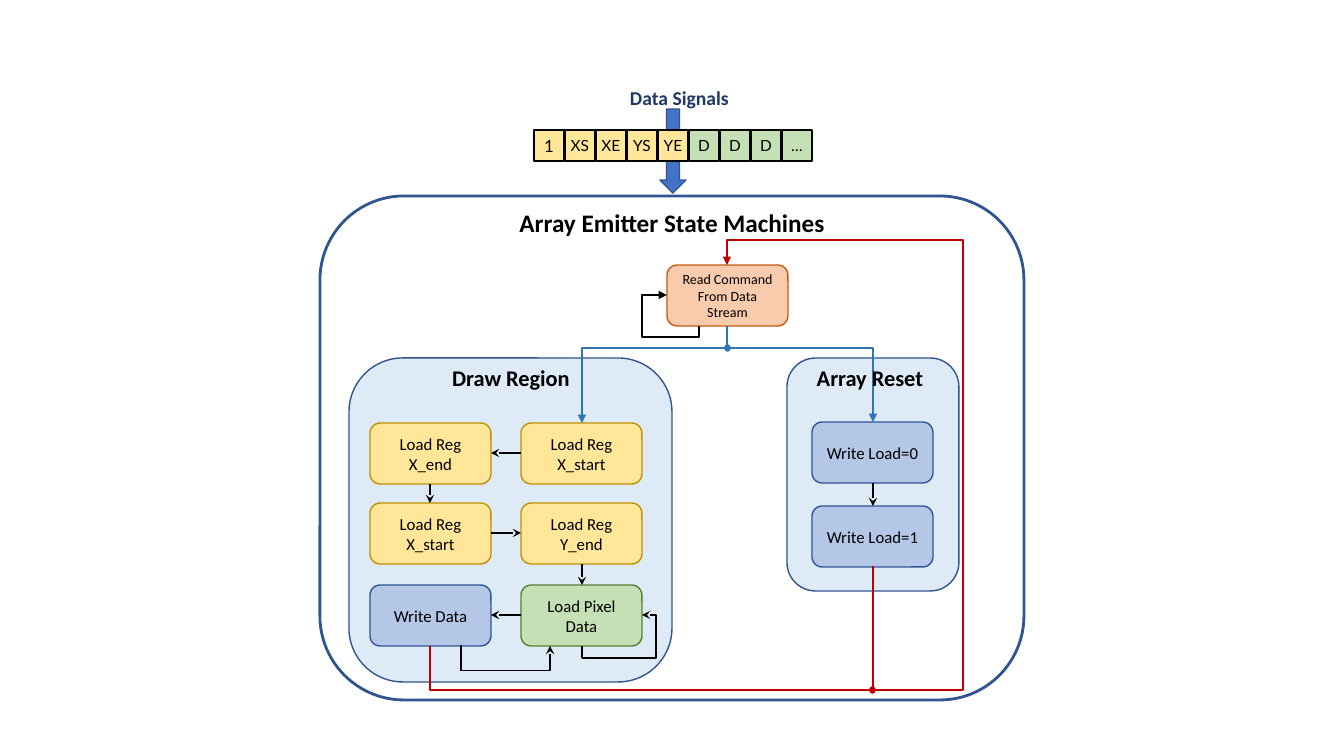
from lxml.etree import SubElement
from pptx import Presentation
from pptx.dml.color import RGBColor
from pptx.enum.shapes import MSO_CONNECTOR, MSO_SHAPE
from pptx.enum.text import MSO_ANCHOR, PP_ALIGN
from pptx.oxml.ns import qn
from pptx.util import Emu, Pt

EMU_PER_PX = 914400 / 100.8
BLACK = RGBColor(0x00, 0x00, 0x00)
WHITE = RGBColor(0xFF, 0xFF, 0xFF)
NAVY = RGBColor(0x20, 0x38, 0x64)
FRAME_BLUE = RGBColor(0x32, 0x54, 0x91)
ARROW_BLUE = RGBColor(0x44, 0x72, 0xC4)
REGION_BLUE = RGBColor(0xDE, 0xEB, 0xF7)
WRITE_BLUE = RGBColor(0xB4, 0xC7, 0xE7)
WRITE_EDGE = RGBColor(0x2F, 0x55, 0x97)
YELLOW = RGBColor(0xFF, 0xE6, 0x99)
YELLOW_EDGE = RGBColor(0xBF, 0x90, 0x00)
GREEN = RGBColor(0xC5, 0xE0, 0xB4)
GREEN_EDGE = RGBColor(0x54, 0x82, 0x35)
ORANGE = RGBColor(0xF8, 0xCB, 0xAD)
ORANGE_EDGE = RGBColor(0xC5, 0x5A, 0x11)
BRANCH_BLUE = RGBColor(0x2E, 0x75, 0xB6)
RETURN_RED = RGBColor(0xC0, 0x00, 0x00)


def px(length):
    """Turn a length in px into EMU."""
    return Emu(round(length * EMU_PER_PX))


class Diagram:
    """Draws state machine elements on one slide in a shared style."""

    font = "Calibri"
    node_width = 121
    node_height = 61

    def __init__(self, slide):
        """Keep the slide to draw on."""
        self.slide = slide

    def add_lines(self, frame, lines, size, color=BLACK, bold=False, font=None,
                  align=PP_ALIGN.CENTER):
        """Fill a text frame with one paragraph per line."""
        for index, line in enumerate(lines):
            paragraph = frame.add_paragraph() if index else frame.paragraphs[0]
            paragraph.alignment = align
            run = paragraph.add_run()
            run.text = line
            run.font.name = font or self.font
            run.font.size = Pt(size)
            run.font.bold = bold
            run.font.color.rgb = color

    def shape(self, preset, box, fill, edge, width=1):
        """Add a filled and outlined preset shape."""
        shape = self.slide.shapes.add_shape(preset, *map(px, box))
        shape.shadow.inherit = False
        shape.fill.solid()
        shape.fill.fore_color.rgb = fill
        shape.line.color.rgb = edge
        shape.line.width = Pt(width)
        return shape

    def node(self, left, top, lines, fill, edge, size=12):
        """Add a rounded state box with its text."""
        box = (left, top, self.node_width, self.node_height)
        frame = self.shape(MSO_SHAPE.ROUNDED_RECTANGLE, box, fill, edge).text_frame
        frame.word_wrap = True
        frame.vertical_anchor = MSO_ANCHOR.MIDDLE
        self.add_lines(frame, lines, size)

    def cell(self, left, text, fill, size):
        """Add one cell of the data word."""
        frame = self.shape(MSO_SHAPE.RECTANGLE, (left, 130, 30, 31), fill, BLACK).text_frame
        frame.word_wrap = False
        frame.vertical_anchor = MSO_ANCHOR.MIDDLE
        self.add_lines(frame, [text], size, font="Lato")

    def label(self, box, text, size, color=BLACK, align=PP_ALIGN.CENTER):
        """Add a bold heading."""
        frame = self.slide.shapes.add_textbox(*map(px, box)).text_frame
        frame.word_wrap = True
        self.add_lines(frame, [text], size, color, True, align=align)

    def route(self, points, color=BLACK, width=1, arrow=None):
        """Add a straight or right-angled connector through the points."""
        start, end = points[0], points[-1]
        bent = len(points) > 2
        kind = MSO_CONNECTOR.ELBOW if bent else MSO_CONNECTOR.STRAIGHT
        connector = self.slide.shapes.add_connector(kind, *map(px, start + end))
        connector.line.color.rgb = color
        connector.line.width = Pt(width)
        properties = connector._element.spPr
        if bent:
            self.bend(connector, properties, points)
        if arrow:
            outline = properties.find(qn("a:ln"))
            SubElement(outline, qn("a:tailEnd"), type=arrow)
        SubElement(properties, qn("a:effectLst"))

    def bend(self, connector, properties, points):
        """Set the preset, turn and bends of an elbow connector."""
        start, end = points[0], points[-1]
        delta = [end[axis] - start[axis] for axis in (0, 1)]
        main_axis = 0 if points[1][1] == start[1] else 1
        if main_axis == 1:
            width, height = abs(delta[1]), abs(delta[0])
            connector.left = px((start[0] + end[0] - width) / 2)
            connector.top = px((start[1] + end[1] - height) / 2)
            connector.width, connector.height = px(width), px(height)
            upward = delta[1] < 0
            transform = properties.find(qn("a:xfrm"))
            transform.set("rot", str((90 if upward else 270) * 60000))
            transform.set("flipH", "1")
            transform.set("flipV", "1" if upward == (delta[0] > 0) else "0")
        geometry = properties.find(qn("a:prstGeom"))
        geometry.set("prst", f"bentConnector{len(points) - 1}")
        guides = geometry.find(qn("a:avLst"))
        for index in range(len(points) - 3):
            axis = (main_axis + index) % 2
            ratio = (points[index + 1][axis] - start[axis]) / delta[axis]
            SubElement(guides, qn("a:gd"), name=f"adj{index + 1}",
                       fmla=f"val {round(ratio * 100000)}")


def main():
    """Build and save the slide."""
    presentation = Presentation()
    presentation.slide_width, presentation.slide_height = px(1344), px(756)
    diagram = Diagram(presentation.slides.add_slide(presentation.slide_layouts[6]))

    diagram.shape(MSO_SHAPE.DOWN_ARROW, (660, 109, 26, 84), ARROW_BLUE, FRAME_BLUE)
    rounded = MSO_SHAPE.ROUNDED_RECTANGLE
    diagram.shape(rounded, (320, 196, 704, 504), WHITE, FRAME_BLUE, 2)
    for region in ((349, 358, 323, 324), (787, 358, 172, 233)):
        diagram.shape(rounded, region, REGION_BLUE, FRAME_BLUE)

    left, right, reset = 370, 521, 812
    for x, y, lines, fill, edge in (
        (right, 423, ["Load Reg", "X_start"], YELLOW, YELLOW_EDGE),
        (left, 423, ["Load Reg", "X_end"], YELLOW, YELLOW_EDGE),
        (left, 503, ["Load Reg", "X_start"], YELLOW, YELLOW_EDGE),
        (right, 503, ["Load Reg", "Y_end"], YELLOW, YELLOW_EDGE),
        (right, 585, ["Load Pixel Data"], GREEN, GREEN_EDGE),
        (left, 585, ["Write Data"], WRITE_BLUE, WRITE_EDGE),
        (reset, 422, ["Write Load=0"], WRITE_BLUE, WRITE_EDGE),
        (reset, 506, ["Write Load=1"], WRITE_BLUE, WRITE_EDGE),
    ):
        diagram.node(x, y, lines, fill, edge)
    diagram.node(667, 265, ["Read Command From Data Stream"], ORANGE, ORANGE_EDGE, 10)

    for points in (
        [(521, 453), (491, 453)],
        [(430, 484), (430, 503)],
        [(491, 533), (521, 533)],
        [(582, 564), (582, 585)],
        [(521, 615), (491, 615)],
        [(873, 483), (873, 506)],
        [(582, 646), (582, 658), (656, 658), (656, 615), (642, 615)],
        [(461, 645), (461, 671), (550, 671), (550, 646)],
    ):
        diagram.route(points, arrow="stealth")

    for points, color, width, arrow in (
        ([(699, 326), (699, 337), (642, 337), (642, 295), (667, 295)], BLACK, 1, "triangle"),
        ([(727, 326), (727, 345)], BRANCH_BLUE, 1.5, None),
        ([(730, 348), (873, 348), (873, 422)], BRANCH_BLUE, 1.5, "triangle"),
        ([(725, 348), (582, 348), (582, 423)], BRANCH_BLUE, 1.5, "triangle"),
        ([(873, 566), (873, 687)], RETURN_RED, 1.5, None),
        ([(430, 646), (430, 690), (870, 690)], RETURN_RED, 1.5, None),
        ([(875, 690), (963, 690), (963, 240), (727, 240), (727, 265)],
         RETURN_RED, 1.5, "triangle"),
    ):
        diagram.route(points, color, width, arrow)
    diagram.shape(MSO_SHAPE.OVAL, (725, 345, 5, 6), BRANCH_BLUE, BRANCH_BLUE)
    diagram.shape(MSO_SHAPE.OVAL, (870, 687, 5, 6), RETURN_RED, RETURN_RED)

    diagram.label((620, 81, 171, 34), "Data Signals", 14, NAVY, PP_ALIGN.LEFT)
    diagram.label((472, 202, 400, 41), "Array Emitter State Machines", 18)
    diagram.label((431, 359, 160, 37), "Draw Region", 16)
    diagram.label((790, 359, 160, 37), "Array Reset", 16)

    for index, text in enumerate(("1", "XS", "XE", "YS", "YE", "D", "D", "D", "…")):
        diagram.cell(534 + 31 * index, text, YELLOW if index < 5 else GREEN,
                     11 if index else 12)

    presentation.save("out.pptx")


if __name__ == "__main__":
    main()
